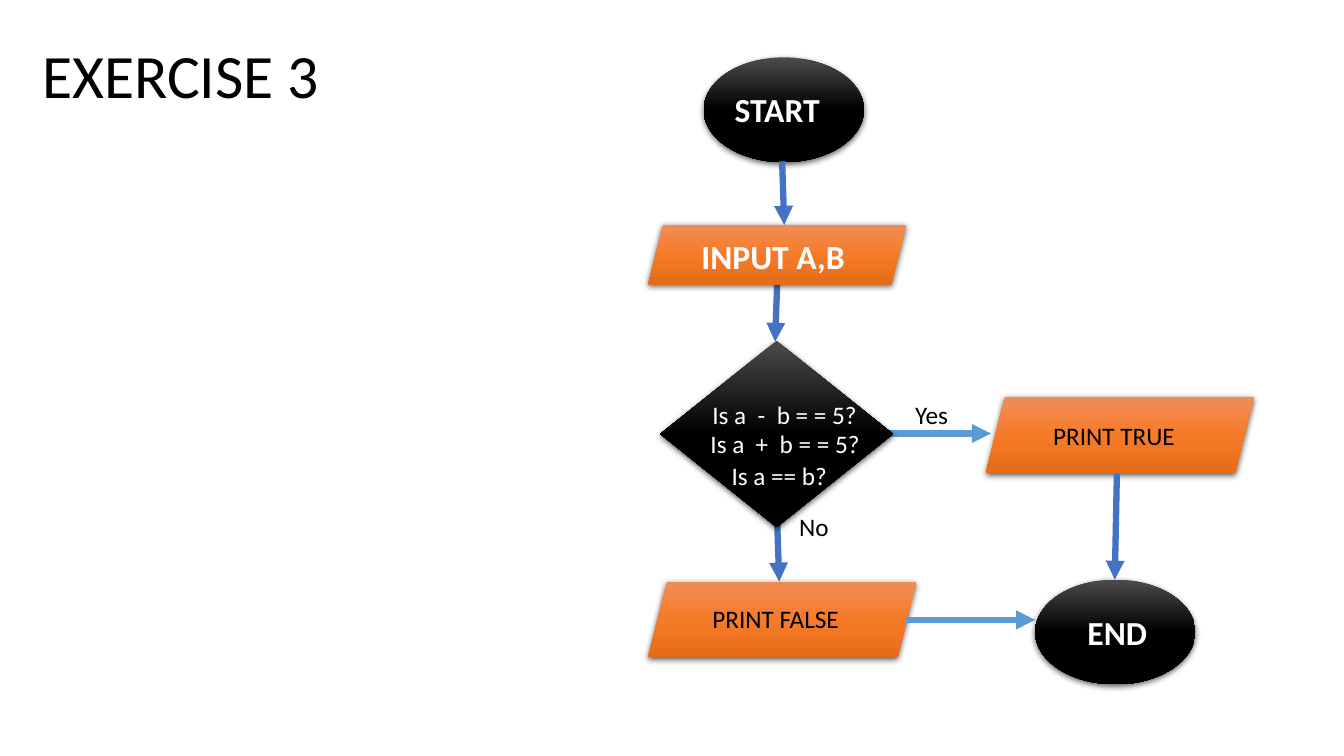
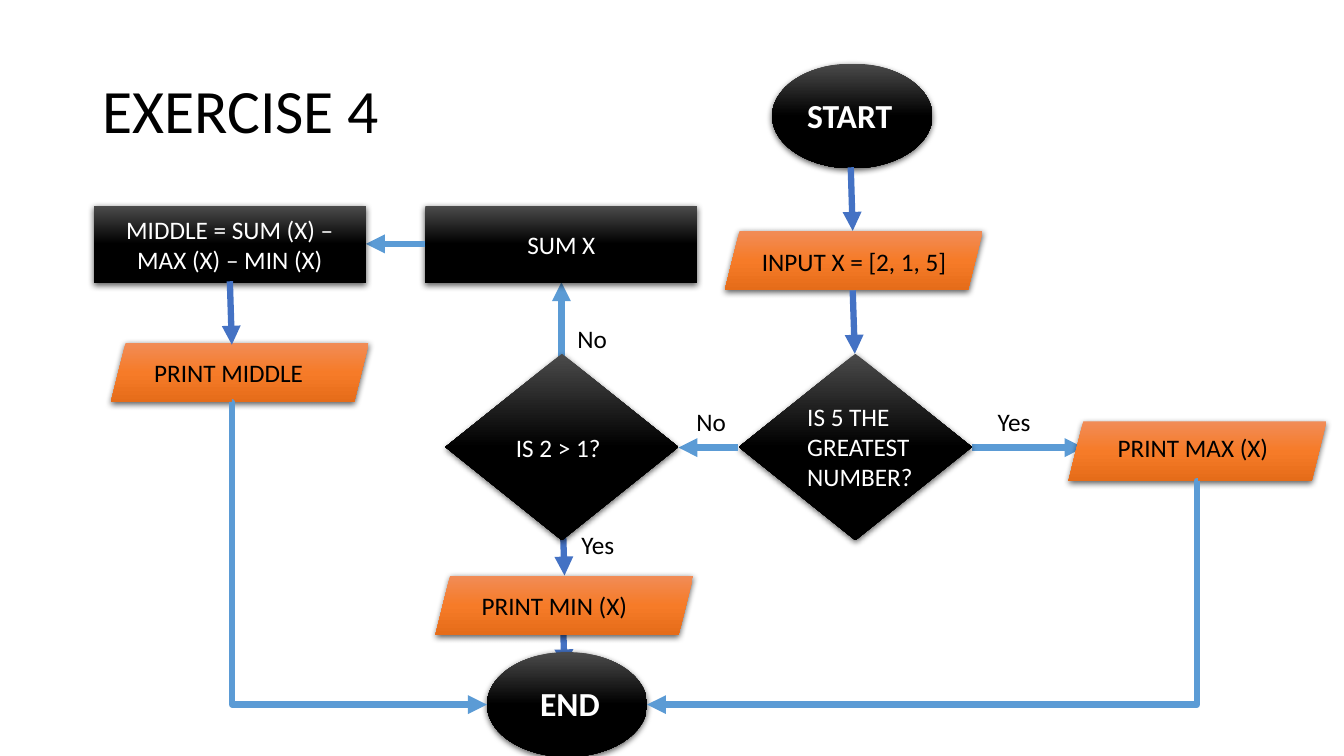
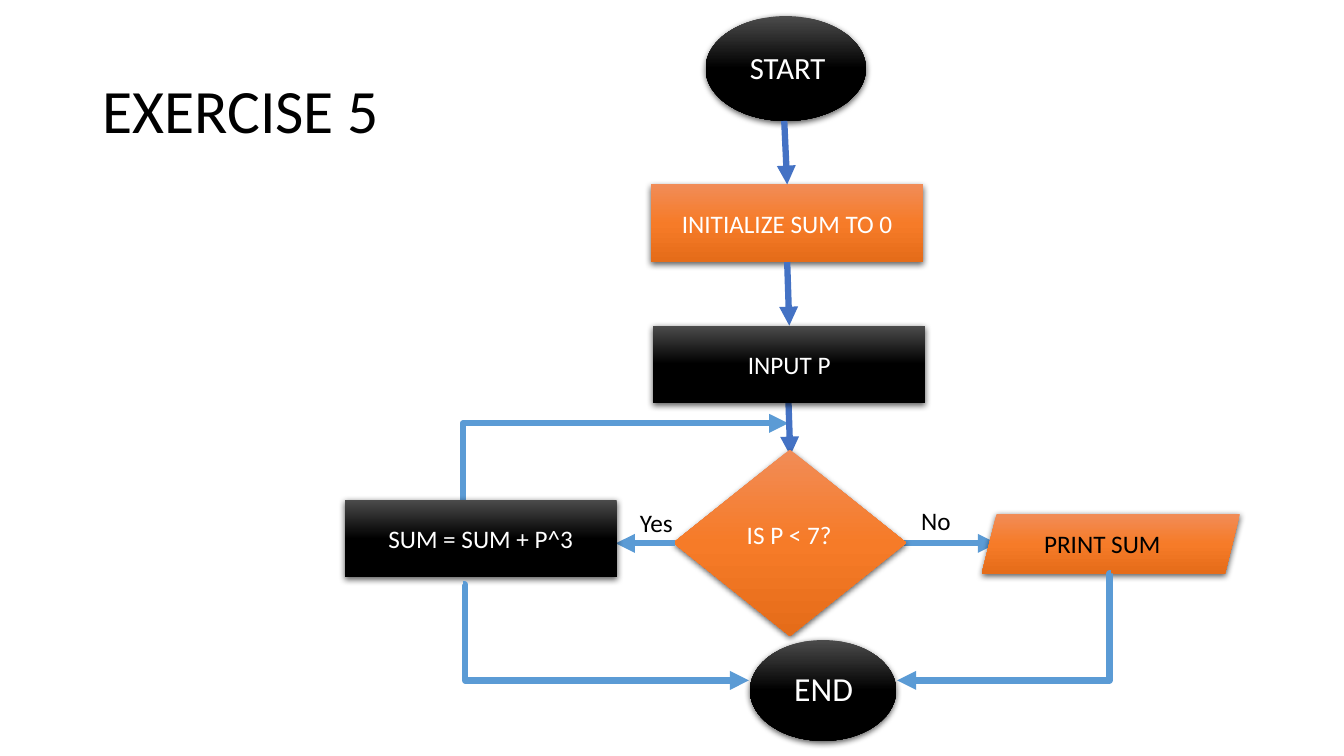
"""Build three flowchart slides for programming exercises."""
import copy
import dataclasses
import functools
import typing

import lxml.etree
import pptx
import pptx.dml.color
import pptx.enum.shapes
import pptx.enum.text
import pptx.oxml.ns
import pptx.shapes.autoshape
import pptx.slide
import pptx.text.text
import pptx.util

Pt = pptx.util.Pt
qn = pptx.oxml.ns.qn
Preset = pptx.enum.shapes.MSO_SHAPE
Point = tuple[float, float]

FONT = "Calibri"
COLORS = {"black": "000000", "white": "FFFFFF", "blue": "4472C4", "sky": "5B9BD5"}
GRADIENTS = {
    "dark": {"start": "4B4B4B", "middle": "000000", "end": "000000"},
    "orange": {"start": "F18C57", "middle": "F67B28", "end": "E56C19"},
}


@dataclasses.dataclass(frozen=True)
class Kind:
    preset: Preset
    width: float
    height: float
    tone: str


TERMINAL = Kind(Preset.OVAL, 114.5, 74.9, "dark")
SMALL_TERMINAL = Kind(Preset.OVAL, 104.4, 72, "dark")
DATA = Kind(Preset.PARALLELOGRAM, 184.3, 42.6, "orange")
LARGE_DATA = Kind(Preset.PARALLELOGRAM, 191.6, 54, "orange")
DECISION = Kind(Preset.DIAMOND, 166.4, 133.2, "dark")
LOOP_DECISION = dataclasses.replace(DECISION, tone="orange")
PROCESS = Kind(Preset.RECTANGLE, 194.4, 55.4, "dark")
SETUP = dataclasses.replace(PROCESS, tone="orange")


@dataclasses.dataclass(frozen=True)
class Node:
    kind: Kind
    left: float
    top: float
    text: str = ""


@dataclasses.dataclass(frozen=True)
class Label:
    text: str
    left: float
    top: float
    width: float = 41
    color: str = "black"
    size: float = 18
    bold: bool = False
    height: float = 29


@dataclasses.dataclass(frozen=True)
class Title:
    text: str
    left: float = 66
    top: float = 28.75


@dataclasses.dataclass(frozen=True)
class Arrow:
    start: Point
    end: Point
    color: str = "blue"
    bend: typing.Optional[float] = None


Item = typing.Union[Node, Label, Title, Arrow]
white_label = functools.partial(Label, color="white")
heading = functools.partial(Label, color="white", size=24, bold=True, height=36)
side_arrow = functools.partial(Arrow, color="sky")
elbow = functools.partial(Arrow, color="sky", bend=0.001)


def rgb(value: str) -> pptx.dml.color.RGBColor:
    return pptx.dml.color.RGBColor.from_string(value)


def add_run(paragraph: pptx.text.text._Paragraph, text: str, size: float,
            color: str, bold: bool = False) -> None:
    run = paragraph.add_run()
    run.text = text
    run.font.name = FONT
    run.font.size = Pt(size)
    run.font.bold = bold
    run.font.color.rgb = rgb(COLORS[color])


def fill_gradient(shape: pptx.shapes.autoshape.Shape, tone: str) -> None:
    shape.fill.gradient()
    shape.fill.gradient_angle = 270
    stop_list = next(shape._element.spPr.iter(qn("a:gsLst")))
    stop_list.append(copy.deepcopy(stop_list[-1]))
    stops = zip(shape.fill.gradient_stops, (0, 0.5, 1), GRADIENTS[tone].values())
    for stop, position, color in stops:
        stop.position = position
        stop.color.rgb = rgb(color)


def add_shadow(shape: pptx.shapes.autoshape.Shape) -> None:
    shape.shadow.inherit = False
    effects = shape._element.spPr.find(qn("a:effectLst"))
    shadow = lxml.etree.SubElement(
        effects, qn("a:outerShdw"), blurRad=str(Pt(4.5)), dist=str(Pt(1.5)),
        dir="5400000", algn="ctr", rotWithShape="0")
    color = lxml.etree.SubElement(shadow, qn("a:srgbClr"), val=COLORS["black"])
    lxml.etree.SubElement(color, qn("a:alpha"), val="63000")


@functools.singledispatch
def draw(item: Item, slide: pptx.slide.Slide) -> None:
    raise TypeError(item)


@draw.register(Node)
def draw_node(node: Node, slide: pptx.slide.Slide) -> None:
    kind = node.kind
    shape = slide.shapes.add_shape(
        kind.preset, Pt(node.left), Pt(node.top), Pt(kind.width), Pt(kind.height))
    fill_gradient(shape, kind.tone)
    shape.line.fill.background()
    add_shadow(shape)
    if node.text:
        shape.text_frame.vertical_anchor = pptx.enum.text.MSO_ANCHOR.MIDDLE
        paragraph = shape.text_frame.paragraphs[0]
        paragraph.alignment = pptx.enum.text.PP_ALIGN.CENTER
        add_run(paragraph, node.text, 18, "white")


@draw.register(Label)
def draw_label(label: Label, slide: pptx.slide.Slide) -> None:
    shape = slide.shapes.add_textbox(
        Pt(label.left), Pt(label.top), Pt(label.width), Pt(label.height))
    shape.text_frame.word_wrap = True
    add_run(shape.text_frame.paragraphs[0], label.text, label.size, label.color, label.bold)


@draw.register(Title)
def draw_title(title: Title, slide: pptx.slide.Slide) -> None:
    shape = slide.shapes.add_textbox(Pt(title.left), Pt(title.top), Pt(828), Pt(104.4))
    shape.text_frame.word_wrap = True
    shape.text_frame.vertical_anchor = pptx.enum.text.MSO_ANCHOR.MIDDLE
    paragraph = shape.text_frame.paragraphs[0]
    paragraph.line_spacing = 0.9
    add_run(paragraph, title.text, 44, "black")


@draw.register(Arrow)
def draw_arrow(arrow: Arrow, slide: pptx.slide.Slide) -> None:
    types = pptx.enum.shapes.MSO_CONNECTOR
    connector = slide.shapes.add_connector(
        types.STRAIGHT if arrow.bend is None else types.ELBOW,
        *(Pt(value) for value in arrow.start + arrow.end))
    connector.line.color.rgb = rgb(COLORS[arrow.color])
    connector.line.width = Pt(4.5)
    properties = connector._element.spPr
    lxml.etree.SubElement(properties.find(qn("a:ln")), qn("a:tailEnd"), type="triangle")
    lxml.etree.SubElement(properties, qn("a:effectLst"))
    if arrow.bend is not None:
        lxml.etree.SubElement(
            next(properties.iter(qn("a:avLst"))), qn("a:gd"),
            name="adj1", fmla=f"val {round(arrow.bend * 100000)}")


EXERCISE_3: list[Item] = [
    Arrow((555.1, 370.8), (556.6, 415.4)),
    Arrow((555.1, 203), (553.7, 244.1)),
    side_arrow((627.8, 309.6), (707.8, 309.6)),
    Title("EXERCISE 3", 23, 3.6),
    Node(TERMINAL, 502.6, 41),
    Arrow((558.7, 115.2), (560.2, 160.6)),
    Node(DATA, 463, 160.6),
    Node(DECISION, 471.6, 243.4),
    white_label("Is a == b?", 515.5, 325.4, 96.5),
    Label("Yes", 646.6, 281.5),
    heading("START", 517.7, 59.8, 83.5),
    heading("INPUT A,B", 493.9, 164.9, 124.6),
    Node(LARGE_DATA, 704.2, 283.7),
    Label("PRINT TRUE", 745.2, 296.6, 158.4),
    white_label("Is a  -  b = = 5?", 501.8, 281.5, 123.8),
    white_label("Is a  +  b = = 5?", 500.4, 302.4, 123.8),
    Label("No", 563.8, 361.4),
    Node(LARGE_DATA, 463, 415.4),
    Label("PRINT FALSE", 501.8, 427.7, 158.4),
    side_arrow((647.3, 442.8), (739.4, 442.8)),
    Arrow((797.8, 338.4), (796.3, 414)),
    Node(TERMINAL, 739.4, 414),
    heading("END", 769.7, 433.4, 83.5),
]

EXERCISE_4: list[Item] = [
    Arrow((401.8, 432), (403.2, 477.4)),
    side_arrow((401, 270.7), (401, 201.6)),
    Arrow((401.8, 365.8), (403.2, 411.1)),
    side_arrow((694.1, 319.7), (774, 319.7)),
    Title("EXERCISE 4"),
    Node(TERMINAL, 551.5, 45.4),
    Arrow((607.7, 119.5), (609.1, 164.9)),
    Node(DATA, 517.7, 164.9),
    Arrow((609.1, 207.4), (610.6, 252.7)),
    Node(DATA, 763.2, 301),
    Label("INPUT X = [2, 1, 5]", 537.1, 172.1, 146.9),
    Label("PRINT MAX (X)", 791.3, 305.3, 128.2),
    Node(DECISION, 527.8, 252.7),
    white_label("IS 5 THE GREATEST NUMBER?", 569.5, 283, 114.5, height=72.7),
    side_arrow((527, 319.7), (484.6, 319.7)),
    Node(DECISION, 318.2, 252.7),
    white_label("IS 2 > 1?", 361.4, 305.3, 107.3),
    Node(DATA, 311, 411.1),
    Label("PRINT MIN (X)", 337, 418.3, 128.2),
    Label("Yes", 408.2, 374.4),
    Label("No", 490.3, 286.6),
    Label("Yes", 705.6, 286.6),
    Label("No", 405.4, 227.5),
    Node(PROCESS, 303.8, 146.9, "SUM X"),
    side_arrow((303.8, 174.2), (261.4, 174.2)),
    Node(PROCESS, 67, 146.9, "MIDDLE = SUM (X) – MAX (X) – MIN (X)"),
    heading("START", 569.5, 64.1, 83.5),
    Node(DATA, 79.2, 244.8),
    Arrow((164.2, 200.9), (165.6, 246.2)),
    Label("PRINT MIDDLE", 103, 252, 123.8),
    Node(TERMINAL, 347.8, 465.8),
    heading("END", 378.7, 484.6, 83.5),
    elbow((165.6, 287.3), (347.8, 503.3)),
    elbow((855.4, 343.4), (462.2, 503.3)),
]

EXERCISE_5: list[Item] = [
    side_arrow((632.9, 388.1), (712.1, 388.1)),
    elbow((335.5, 360.7), (563, 302.4), bend=-0.021),
    Arrow((563, 280.8), (564.5, 325.4)),
    Title("EXERCISE 5"),
    Node(TERMINAL, 504, 11.5),
    Node(SETUP, 465.1, 131.8, "INITIALIZE SUM TO 0"),
    Arrow((560.2, 86.4), (562.3, 131.8)),
    Arrow((562.3, 187.2), (563.8, 232.6)),
    heading("START", 528.5, 31, 107.3, size=22, bold=False, height=34),
    Node(LOOP_DECISION, 481, 321.1),
    white_label("IS P < 7?", 526.3, 367.2, 114.5),
    Node(PROCESS, 466.6, 232.6, "INPUT P"),
    side_arrow((482.4, 388.1), (439.9, 388.1)),
    Label("Yes", 450, 358.6),
    Node(PROCESS, 246.2, 357.1, "SUM = SUM + P^3"),
    Label("No", 650.9, 357.1),
    Node(DATA, 701.3, 367.2),
    Label("PRINT SUM", 738.7, 373.7, 155.5),
    elbow((330.5, 417.6), (535, 486), bend=0.009),
    elbow((792.7, 409.7), (640.8, 486)),
    Node(SMALL_TERMINAL, 535.7, 457.2),
    heading("END", 560.2, 473.8, 69.1, bold=False),
]


def main() -> None:
    presentation = pptx.Presentation()
    presentation.slide_width, presentation.slide_height = Pt(960), Pt(540)
    for items in (EXERCISE_3, EXERCISE_4, EXERCISE_5):
        slide = presentation.slides.add_slide(presentation.slide_layouts[6])
        for item in items:
            draw(item, slide)
    presentation.save("out.pptx")


main()
